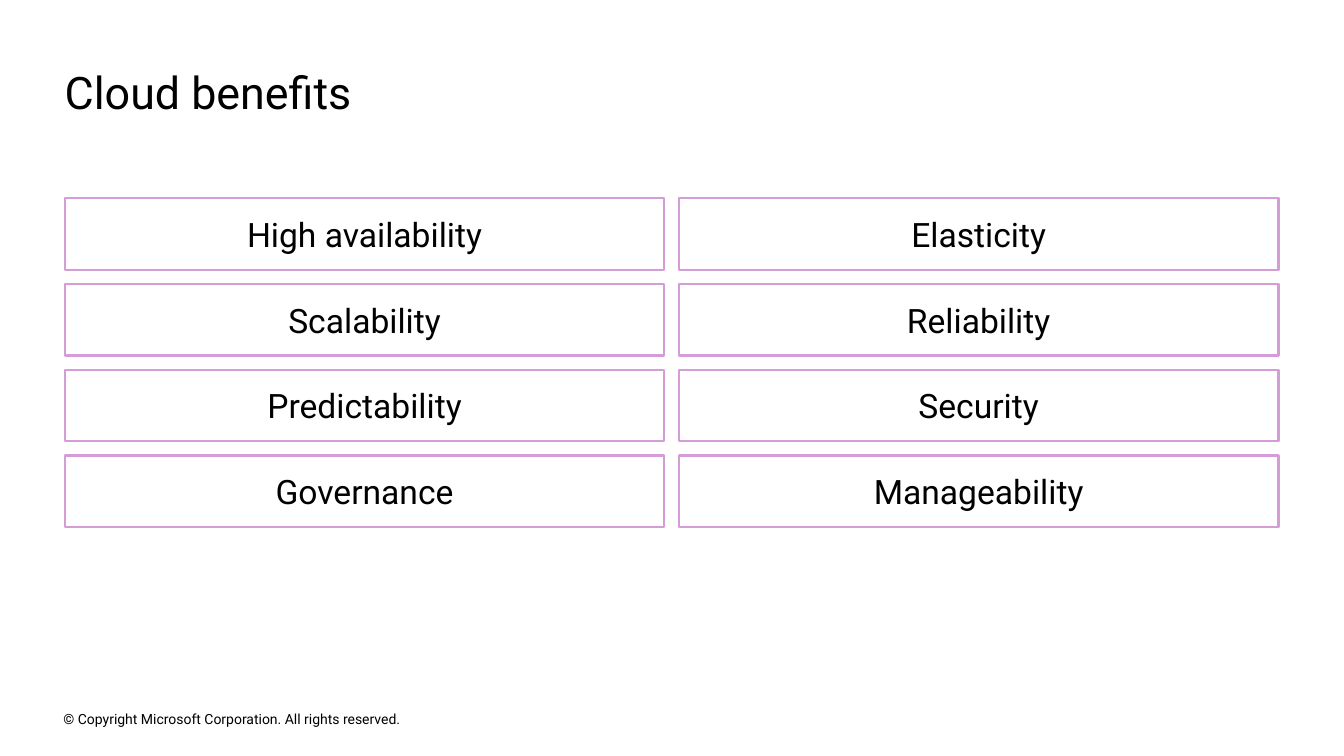
from pptx import Presentation, util as u
from pptx.dml.color import RGBColor
from pptx.enum import shapes, text

Cm, Pt = u.Cm, u.Pt


def color(code):
    return RGBColor.from_string(code)


def write(frame, words, size=24, ink="000000", font="Roboto",
          align=text.PP_ALIGN.LEFT, anchor=text.MSO_ANCHOR.MIDDLE,
          pad=(0, 0), fit=text.MSO_AUTO_SIZE.NONE):
    frame.word_wrap = True
    frame.auto_size = fit
    frame.vertical_anchor = anchor
    frame.margin_left = frame.margin_right = Cm(pad[0])
    frame.margin_top = frame.margin_bottom = Cm(pad[1])
    para = frame.paragraphs[0]
    para.alignment = align
    run = para.add_run()
    run.text = words
    run.font.name = font
    run.font.size = Pt(size)
    run.font.color.rgb = color(ink)


class Deck:
    edge = "D59DD7"
    fill = "FFFFFF"

    def __init__(self):
        self.prs = Presentation()
        self.prs.slide_width, self.prs.slide_height = u.Inches(13.33), u.Inches(7.5)
        self.slide = self.prs.slides.add_slide(self.prs.slide_layouts[5])

    def title(self, words, x, y, w, h):
        head = self.slide.shapes.title
        head.left, head.top, head.width, head.height = map(Cm, (x, y, w, h))
        write(head.text_frame, words, size=32, anchor=text.MSO_ANCHOR.TOP,
              fit=text.MSO_AUTO_SIZE.SHAPE_TO_FIT_TEXT)

    def card(self, words, x, y, w, h):
        box = self.slide.shapes.add_shape(
            shapes.MSO_SHAPE.RECTANGLE, *map(Cm, (x, y, w, h)))
        box.shadow.inherit = False
        box.fill.solid()
        box.fill.fore_color.rgb = color(self.fill)
        box.line.color.rgb = color(self.edge)
        box.line.width = Pt(1.5)
        write(box.text_frame, words, align=text.PP_ALIGN.CENTER, pad=(0.51, 0.41))

    def label(self, words, x, y, w, h, **style):
        box = self.slide.shapes.add_textbox(*map(Cm, (x, y, w, h)))
        write(box.text_frame, words, **style)


def main():
    deck = Deck()
    left, top = 1.63, 5
    wide, high, gap = 15.11, 1.8, 0.36

    # Title
    deck.title("Cloud benefits", left, 1.63, 2 * wide + gap, 1.37)

    # Grid of benefits, filled row by row
    gains = ["High availability", "Elasticity", "Scalability", "Reliability",
             "Predictability", "Security", "Governance", "Manageability"]
    for i, gain in enumerate(gains):
        row, col = divmod(i, 2)
        deck.card(gain, left + col * (wide + gap), top + row * (high + gap),
                  wide, high)

    # Footer
    deck.label("© Copyright Microsoft Corporation. All rights reserved.",
               1.6, 17.83, 11.53, 0.56, size=10)

    deck.prs.save("out.pptx")


if __name__ == "__main__":
    main()
